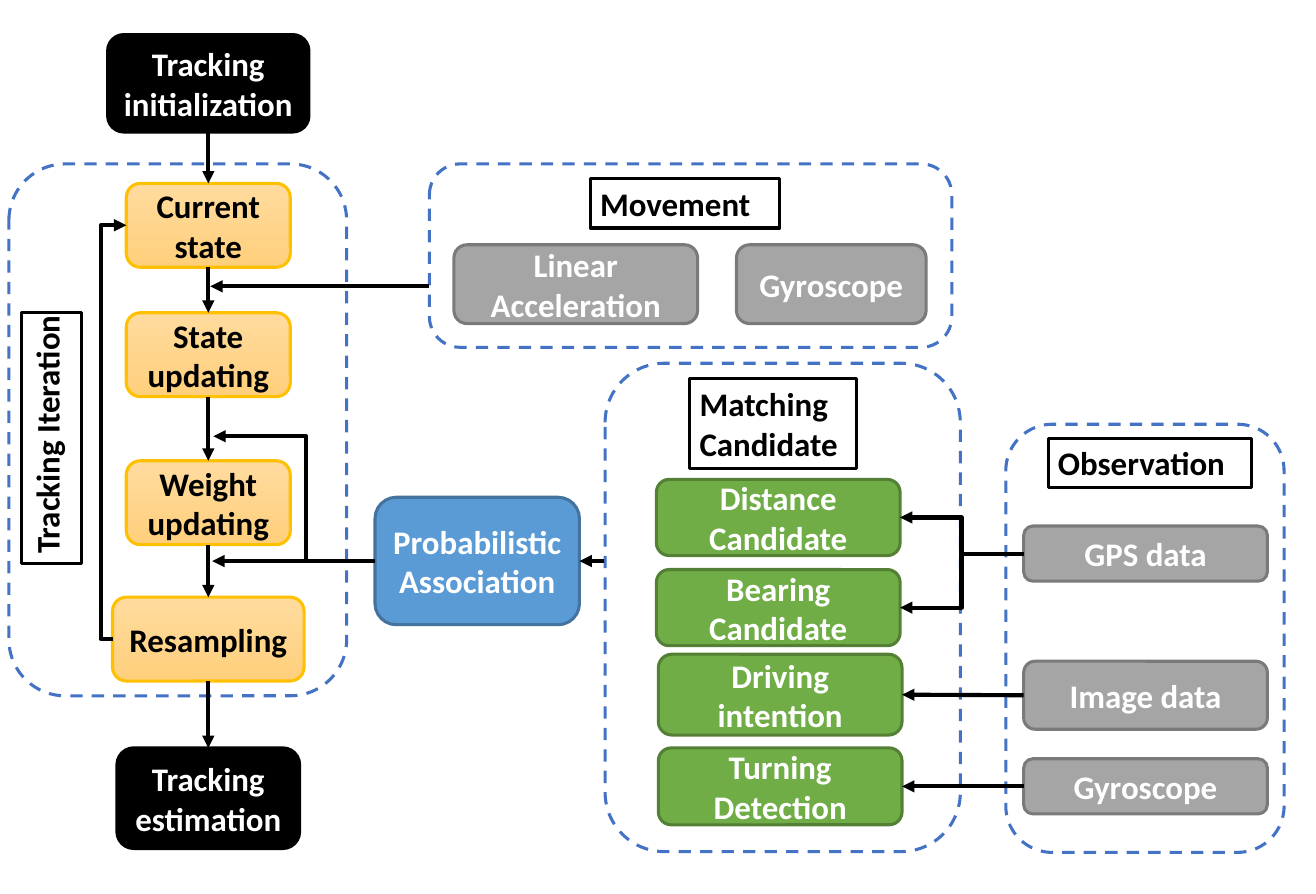
from dataclasses import dataclass
from itertools import pairwise
from typing import Optional, Union

from lxml import etree
from pptx import Presentation
from pptx import util as u
from pptx.dml import color
from pptx.enum import dml, shapes, text
from pptx.oxml import ns

COLORS = {
    "black": "000000", "white": "FFFFFF", "grey": "A5A5A5", "grey_edge": "7A7A7A",
    "green": "70AD47", "green_edge": "538035", "blue": "5B9BD5", "blue_edge": "43739E",
    "gold_top": "FFDB9E", "gold_bottom": "FFD07C", "gold_edge": "FFC000", "region": "4472C4",
}
# Fill (two names make a gradient), edge and text colour
STYLES = {
    "terminal": (("black",), "black", "white"),
    "step": (("gold_top", "gold_bottom"), "gold_edge", "black"),
    "sensor": (("grey",), "grey_edge", "white"),
    "candidate": (("green",), "green_edge", "white"),
    "association": (("blue",), "blue_edge", "white"),
}
LEFT, RIGHT, TOP, BOTTOM = 1, 3, 0, 2  # connection sites of a rounded box


@dataclass
class Box:
    """A box in centimetres; the key names it for links."""
    key: str
    words: str
    left: float
    top: float
    width: float
    height: float
    style: str = ""


@dataclass
class Link:
    """An arrow between (box key, site) ends or free (x, y) points."""
    start: tuple[Union[str, float], float]
    end: tuple[Union[str, float], float]
    bend_x: Optional[float] = None


def rgb(name: str) -> color.RGBColor:
    return color.RGBColor.from_string(COLORS[name])


def frame(box: Box) -> list[u.Length]:
    return [u.Cm(side) for side in (box.left, box.top, box.width, box.height)]


def set_line(line, name: str, width: float = 2.25) -> None:
    line.color.rgb = rgb(name)
    line.width = u.Pt(width)


def write(text_frame, words: str, ink: str, align: text.PP_ALIGN) -> None:
    text_frame.text = words
    for paragraph in text_frame.paragraphs:
        paragraph.alignment = align
        font = paragraph.font
        font.name, font.size, font.bold = "Calibri", u.Pt(24), True
        font.color.rgb = rgb(ink)


def draw_rounded(box: Box):
    rounded = slide.shapes.add_shape(shapes.MSO_SHAPE.ROUNDED_RECTANGLE, *frame(box))
    rounded.shadow.inherit = False
    return rounded


def draw_region(box: Box) -> None:
    region = draw_rounded(box)
    region.fill.background()
    set_line(region.line, "region")
    region.line.dash_style = dml.MSO_LINE.DASH


def draw_node(box: Box):
    fills, edge, ink = STYLES[box.style]
    node = draw_rounded(box)
    if len(fills) > 1:
        node.fill.gradient()
        node.fill.gradient_angle = 270
        for stop, name in zip(node.fill.gradient_stops, fills):
            stop.color.rgb = rgb(name)
    else:
        node.fill.solid()
        node.fill.fore_color.rgb = rgb(fills[0])
    set_line(node.line, edge)
    node.text_frame.vertical_anchor = text.MSO_ANCHOR.MIDDLE
    write(node.text_frame, box.words, ink, text.PP_ALIGN.CENTER)
    return node


def draw_label(box: Box) -> None:
    label = slide.shapes.add_textbox(*frame(box))
    set_line(label.line, "black")
    upright = box.height > box.width
    label.text_frame.word_wrap = not upright
    label.text_frame.auto_size = text.MSO_AUTO_SIZE.SHAPE_TO_FIT_TEXT
    write(label.text_frame, box.words, "black", text.PP_ALIGN.LEFT)
    if upright:
        label.element.txBody.find(ns.qn("a:bodyPr")).set("vert", "vert270")


def draw_link(link: Link) -> None:
    kind = shapes.MSO_CONNECTOR.STRAIGHT if link.bend_x is None else shapes.MSO_CONNECTOR.ELBOW
    # Ends tied to a box are moved into place when they are connected
    points = [u.Cm(0 if isinstance(end[0], str) else value)
              for end in (link.start, link.end) for value in end]
    arrow = slide.shapes.add_connector(kind, *points)
    for end, connect in ((link.start, arrow.begin_connect), (link.end, arrow.end_connect)):
        if isinstance(end[0], str):
            connect(nodes[end[0]], end[1])
    set_line(arrow.line, "black", 3)
    etree.SubElement(arrow.line._get_or_add_ln(), ns.qn("a:tailEnd"), type="triangle")
    properties = arrow._element.spPr
    etree.SubElement(properties, ns.qn("a:effectLst"))
    if link.bend_x is not None:
        share = (u.Cm(link.bend_x) - arrow.begin_x) / (arrow.end_x - arrow.begin_x)
        geometry = properties.find(ns.qn("a:prstGeom"))
        guides = geometry.find(ns.qn("a:avLst"))
        if guides is None:
            guides = etree.SubElement(geometry, ns.qn("a:avLst"))
        etree.SubElement(guides, ns.qn("a:gd"), name="adj1", fmla=f"val {round(share * 100000)}")


presentation = Presentation()
presentation.slide_width, presentation.slide_height = u.Cm(33.86), u.Cm(23.01)
slide = presentation.slides.add_slide(presentation.slide_layouts[6])

# Dashed regions
for region_box in (
    Box("iteration", "", 0.23, 4.22, 8.69, 13.69),
    Box("movement", "", 11.05, 4.22, 13.44, 4.72),
    Box("observation", "", 25.88, 10.92, 7.16, 11.02),
    Box("matching", "", 15.57, 9.35, 9.14, 12.57),
):
    draw_region(region_box)

# Region titles
for label_box in (
    Box("iteration", "Tracking Iteration", 0.56, 8.05, 1.55, 6.45),
    Box("movement", "Movement", 15.19, 4.6, 4.88, 1.27),
    Box("observation", "Observation", 26.97, 11.28, 5.23, 1.27),
    Box("matching", "Matching Candidate", 17.75, 9.75, 4.29, 2.31),
):
    draw_label(label_box)

# Tracking steps, centred on one axis
AXIS = 5.36
tracking = [
    Box(key, words, AXIS - width / 2, top, width, height, style)
    for key, words, top, width, height, style in (
        ("initialization", "Tracking\ninitialization", 0.89, 5.18, 2.51, "terminal"),
        ("current", "Current\nstate", 4.72, 4.22, 2.16, "step"),
        ("state", "State\nupdating", 8.05, 4.22, 2.16, "step"),
        ("weight", "Weight\nupdating", 11.86, 4.22, 2.16, "step"),
        ("resampling", "Resampling", 15.37, 4.93, 2.16, "step"),
        ("estimation", "Tracking\nestimation", 19.25, 4.7, 2.59, "terminal"),
    )
]

# Sensors, candidates and their association
WIDE = 6.27
sources = [
    Box("acceleration", "Linear Acceleration", 11.68, 6.3, WIDE, 2.03, "sensor"),
    Box("movement gyroscope", "Gyroscope", 18.95, 6.3, 4.88, 2.03, "sensor"),
    Box("gps", "GPS data", 26.34, 13.54, WIDE, 1.42, "sensor"),
    Box("image", "Image data", 26.34, 17.02, WIDE, 1.75, "sensor"),
    Box("gyroscope", "Gyroscope", 26.34, 19.53, WIDE, 1.42, "sensor"),
    Box("distance", "Distance Candidate", 16.89, 12.34, WIDE, 1.96, "candidate"),
    Box("bearing", "Bearing Candidate", 16.89, 14.66, WIDE, 1.96, "candidate"),
    Box("driving", "Driving intention", 16.94, 16.84, WIDE, 2.08, "candidate"),
    Box("turning", "Turning Detection", 16.94, 19.25, WIDE, 1.98, "candidate"),
    Box("association", "Probabilistic\nAssociation", 9.65, 12.8, 5.26, 3.28, "association"),
]
nodes = {box.key: draw_node(box) for box in tracking + sources}

# Arrows
links = [Link((upper.key, BOTTOM), (lower.key, TOP)) for upper, lower in pairwise(tracking)]
links += [
    Link(("resampling", LEFT), ("current", LEFT), 2.59),
    Link((11.05, 7.37), (5.41, 7.37)),
    Link(("gps", LEFT), ("distance", RIGHT), 24.74),
    Link(("gps", LEFT), ("bearing", RIGHT), 24.74),
    Link(("image", LEFT), ("driving", RIGHT)),
    Link(("gyroscope", LEFT), ("turning", RIGHT)),
    Link((15.55, 14.44), ("association", RIGHT)),
    Link(("association", LEFT), (5.49, 11.23), 7.87),
    Link(("association", LEFT), (5.46, 14.44)),
]
for link in links:
    draw_link(link)

presentation.save("out.pptx")
